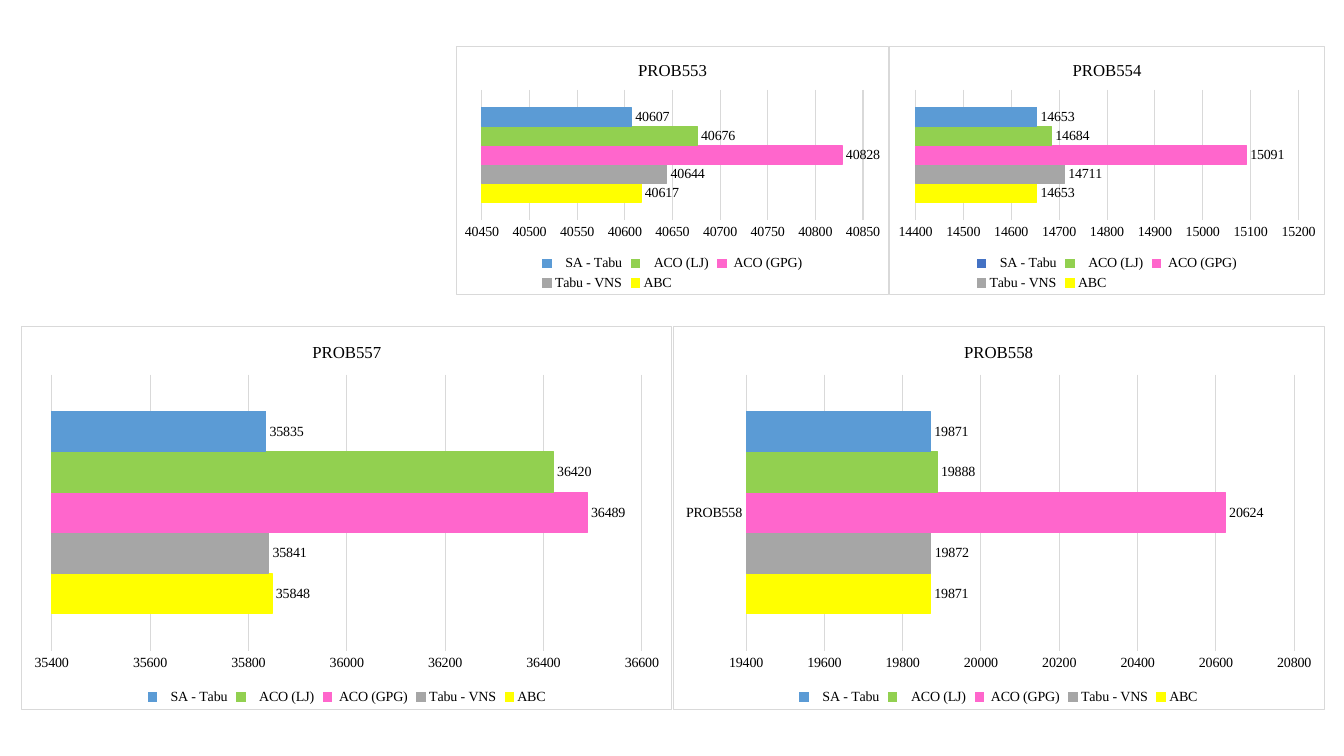
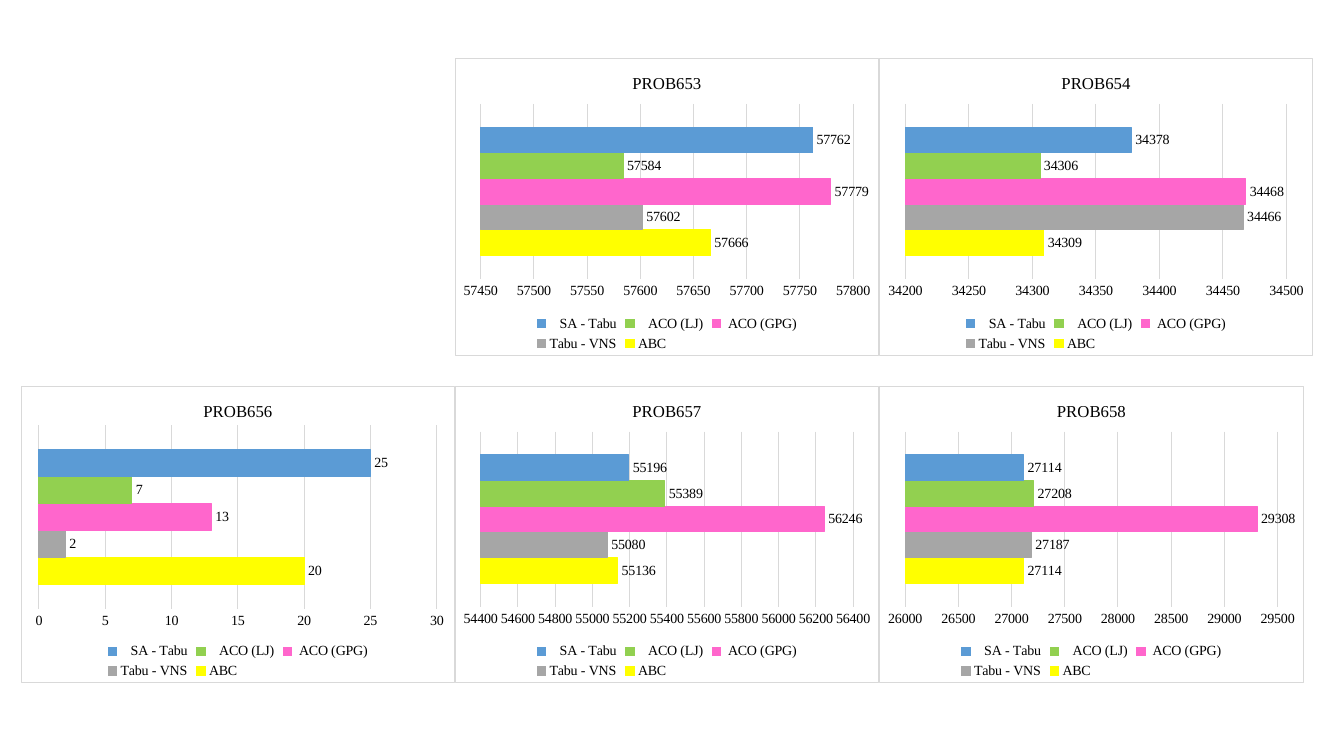
from dataclasses import dataclass

from pptx import Presentation
from pptx.chart.data import CategoryChartData
from pptx.dml.color import RGBColor
from pptx.enum.chart import XL_CHART_TYPE, XL_LABEL_POSITION, XL_LEGEND_POSITION, XL_TICK_MARK
from pptx.oxml import parse_xml
from pptx.oxml.ns import nsdecls, qn
from pptx.util import Emu, Pt

PX = 9144
SLIDE_WIDTH, SLIDE_HEIGHT = 1333, 750

FONT = "Times New Roman"
BLACK = RGBColor(0x00, 0x00, 0x00)
WHITE = RGBColor(0xFF, 0xFF, 0xFF)
GRID_GREY = RGBColor(0xD9, 0xD9, 0xD9)
YELLOW = RGBColor(0xFF, 0xFF, 0x00)
GREY = RGBColor(0xA6, 0xA6, 0xA6)
PINK = RGBColor(0xFF, 0x66, 0xCC)
GREEN = RGBColor(0x92, 0xD0, 0x50)
BLUE = RGBColor(0x5B, 0x9B, 0xD5)
DARK_BLUE = RGBColor(0x44, 0x72, 0xC4)
THIN = Pt(0.75)

ALGORITHMS = [
    ("ABC", YELLOW),
    ("Tabu - VNS", GREY),
    (" ACO (GPG)", PINK),
    ("   ACO (LJ)", GREEN),
    ("   SA - Tabu", BLUE),
]


@dataclass
class Problem:
    """Results of each algorithm on one problem, with the scale they are shown on."""
    title: str
    results: tuple
    scale: tuple
    category: str = ""
    sa_tabu_key: RGBColor = BLUE
    plot_box: tuple = ()


def px(length):
    """Turn px into EMU."""
    return Emu(length * PX)


def frame_chart(chart):
    """Give the chart a white ground and a thin grey border."""
    chart._chartSpace.chart.addnext(parse_xml(
        f'<c:spPr {nsdecls("c", "a")}>'
        f'<a:solidFill><a:srgbClr val="{WHITE}"/></a:solidFill>'
        f'<a:ln w="{THIN}"><a:solidFill><a:srgbClr val="{GRID_GREY}"/></a:solidFill></a:ln>'
        '</c:spPr>'))


def place_plot(chart, plot_box):
    """Fix the inner plot area at fractions of the chart."""
    plot_area = chart._chartSpace.chart.plotArea
    for automatic in plot_area.findall(qn("c:layout")):
        plot_area.remove(automatic)
    sides = "".join(f'<c:{side} val="{part}"/>' for side, part in zip("xywh", plot_box))
    plot_area.insert(0, parse_xml(
        f'<c:layout {nsdecls("c")}><c:manualLayout><c:layoutTarget val="inner"/>'
        f'<c:xMode val="edge"/><c:yMode val="edge"/>{sides}</c:manualLayout></c:layout>'))


def style_title(chart, title):
    """Write the problem name above the plot."""
    chart.has_title = True
    frame = chart.chart_title.text_frame
    frame.text = title
    font = frame.paragraphs[0].runs[0].font
    font.name, font.size, font.bold = FONT, Pt(12), False
    font.color.rgb = BLACK


def style_axes(chart, problem):
    """Set the scale, the gridlines and the category axis."""
    values = chart.value_axis
    values.minimum_scale, values.maximum_scale, values.major_unit = problem.scale
    values.major_tick_mark = XL_TICK_MARK.NONE
    values.format.line.fill.background()
    values.has_major_gridlines = True
    gridline = values.major_gridlines.format.line
    gridline.width = THIN
    gridline.color.rgb = GRID_GREY

    categories = chart.category_axis
    categories.visible = bool(problem.category)
    categories.major_tick_mark = XL_TICK_MARK.NONE
    categories.format.line.width = THIN
    categories.format.line.color.rgb = GRID_GREY


def paint(bar, color):
    """Fill and outline a bar in one colour."""
    bar.format.fill.solid()
    bar.format.fill.fore_color.rgb = color
    bar.format.line.width = THIN
    bar.format.line.color.rgb = color


def style_bars(chart, problem):
    """Colour each algorithm and label its result."""
    plot = chart.plots[0]
    plot.gap_width = 182
    plot.vary_by_categories = False
    for series, (_, color) in zip(plot.series, ALGORITHMS):
        paint(series, color)
        series.data_labels.show_value = True
        series.data_labels.position = XL_LABEL_POSITION.OUTSIDE_END
    if problem.sa_tabu_key != BLUE:
        sa_tabu = plot.series[-1]
        paint(sa_tabu, problem.sa_tabu_key)
        paint(sa_tabu.points[0], BLUE)


def add_problem_chart(slide, problem, left, top, width, height):
    """Draw the comparison of algorithms for one problem."""
    data = CategoryChartData()
    data.categories = [problem.category or "1"]
    for (algorithm, _), result in zip(ALGORITHMS, problem.results):
        data.add_series(algorithm, [result])
    chart = slide.shapes.add_chart(
        XL_CHART_TYPE.BAR_CLUSTERED, px(left), px(top), px(width), px(height), data).chart
    chart.font.name, chart.font.size = FONT, Pt(10)
    chart.font.color.rgb = BLACK
    chart.has_legend = True
    chart.legend.position = XL_LEGEND_POSITION.BOTTOM
    chart.legend.include_in_layout = False
    frame_chart(chart)
    style_title(chart, problem.title)
    style_axes(chart, problem)
    style_bars(chart, problem)
    if problem.plot_box:
        place_plot(chart, problem.plot_box)


def add_chart_row(slide, left, top, height, widths, problems):
    """Set charts side by side without gaps."""
    for width, problem in zip(widths, problems):
        add_problem_chart(slide, problem, left, top, width, height)
        left += width


def add_results_slide(prs, rows):
    """Add a slide made of rows of charts."""
    slide = prs.slides.add_slide(prs.slide_layouts[6])
    for row in rows:
        add_chart_row(slide, *row)


PROBLEMS_55X = [
    (452, 46, 247, (430, 432), [
        Problem("PROB553", (40617, 40644, 40828, 40676, 40607), (40450, 40850, 50)),
        Problem("PROB554", (14653, 14711, 15091, 14684, 14653), (14400, 15200, 100),
                sa_tabu_key=DARK_BLUE),
    ]),
    (21, 323, 381, (646, 647), [
        Problem("PROB557", (35848, 35841, 36489, 36420, 35835), (35400, 36600, 200)),
        Problem("PROB558", (19871, 19872, 20624, 19888, 19871), (19400, 20800, 200),
                category="PROB558"),
    ]),
]

PROBLEMS_65X = [
    (451, 58, 295, (421, 430), [
        Problem("PROB653", (57666, 57602, 57779, 57584, 57762), (57450, 57800, 50)),
        Problem("PROB654", (34309, 34466, 34468, 34306, 34378), (34200, 34500, 50)),
    ]),
    (21, 383, 295, (430, 421, 421), [
        Problem("PROB656", (20, 2, 13, 7, 25), (0, 30, 5), plot_box=(0.04, 0.13, 0.92, 0.62)),
        Problem("PROB657", (55136, 55080, 56246, 55389, 55196), (54400, 56400, 200)),
        Problem("PROB658", (27114, 27187, 29308, 27208, 27114), (26000, 29500, 500)),
    ]),
]


def main():
    """Build and save the presentation."""
    prs = Presentation()
    prs.slide_width, prs.slide_height = px(SLIDE_WIDTH), px(SLIDE_HEIGHT)
    for rows in (PROBLEMS_55X, PROBLEMS_65X):
        add_results_slide(prs, rows)
    prs.save("out.pptx")


if __name__ == "__main__":
    main()
